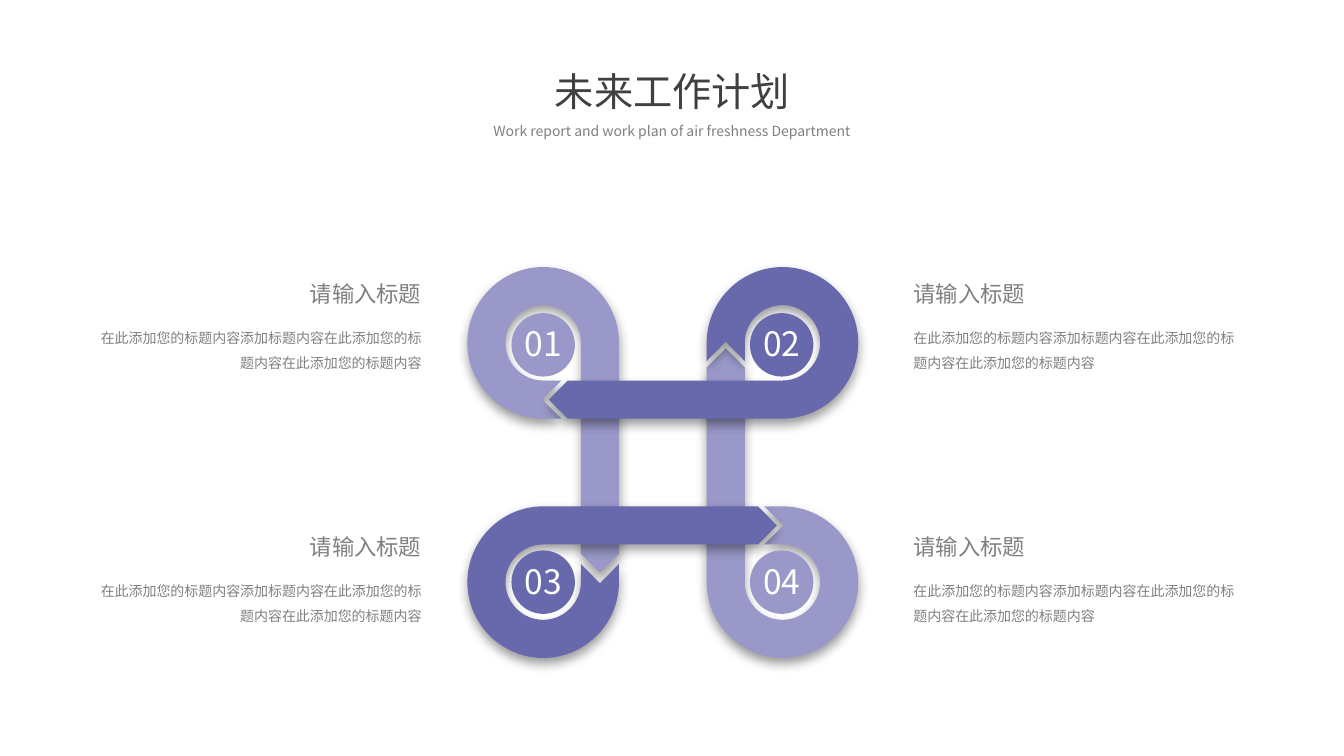
import pptx
import pptx.util
import pptx.oxml
from lxml import etree
from pptx.dml.color import RGBColor
from pptx.enum.shapes import MSO_SHAPE
from pptx.enum.text import MSO_AUTO_SIZE, PP_ALIGN
from pptx.oxml.ns import qn
from pptx.util import Cm, Pt

FONT = "Noto Sans CJK SC"
LIGHT = RGBColor(0x99, 0x98, 0xC8)
DARK = RGBColor(0x68, 0x68, 0xAC)
WHITE = RGBColor(0xFF, 0xFF, 0xFF)
GREY = RGBColor(0x80, 0x80, 0x80)
INK = RGBColor(0x40, 0x40, 0x40)

TITLE = "未来工作计划"
SUB = "Work report and work plan of air freshness Department"
HEAD = "请输入标题"
BODY = "在此添加您的标题内容添加标题内容在此添加您的标题内容在此添加您的标题内容"

# Lengths in cm. Number: column, row, colour, quarter turns, arrow reach
LOOPS = {
    "04": (1, 1, LIGHT, 1, 5.89),
    "01": (0, 0, LIGHT, 3, 5.79),
    "02": (1, 0, DARK, 0, 5.89),
    "03": (0, 1, DARK, 2, 5.89),
}
LEFT, TOP, STEP = 13.69, 8.64, 6.03
OUTER, INNER, MID = 1.91, 0.95, 1.43
NOTCH, POINT = 0.46, 0.48
BEND = 0.55  # control arm of a quarter circle, as a share of its radius
DISC = 1.6
DISC_X, DISC_Y = (13.69, 19.7), (8.69, 14.67)
# Alignment, left edge and width of heading, left edge and width of body
SIDES = [
    (PP_ALIGN.RIGHT, 5.69, 5.18, 1.95, 8.92),
    (PP_ALIGN.LEFT, 22.77, 5.92, 22.77, 8.69),
]
HEAD_Y, BODY_Y, ROW = 6.93, 7.96, 6.38

SHADOW = (
    '<a:effectLst xmlns:a="http://schemas.openxmlformats.org/drawingml/2006/main">'
    '<a:outerShdw blurRad="101600" dist="50800" dir="5400000" algn="t" rotWithShape="0">'
    '<a:srgbClr val="000000"><a:alpha val="40000"/></a:srgbClr>'
    '</a:outerShdw></a:effectLst>'
)


def arc(points):
    """Quarter circles about the origin, each a step of two controls and an end."""
    return [
        [(x + BEND * u, y + BEND * v), (u + BEND * x, v + BEND * y), (u, v)]
        for (x, y), (u, v) in zip(points, points[1:])
    ]


def outline(reach):
    """Steps of a loop from its left side, with the arrow pointing left below."""
    neck = POINT - reach
    big = [(-OUTER, 0), (0, -OUTER), (OUTER, 0), (0, OUTER)]
    small = [(0, INNER), (INNER, 0), (0, -INNER), (-INNER, 0)]
    tip = [(neck, OUTER), (-reach, MID), (neck, INNER), small[0]]
    notch = [(-INNER, NOTCH), (-MID, -0.03), (-OUTER, NOTCH)]
    return (
        [[big[0]]] + arc(big) + [[dot] for dot in tip]
        + arc(small) + [[dot] for dot in notch]
    )


def rotate(x, y, turns):
    for _ in range(turns):
        x, y = -y, x
    return x, y


def paint(shape, color):
    shape.shadow.inherit = False
    shape.fill.solid()
    shape.fill.fore_color.rgb = color
    shape.line.fill.background()


def add_loop(shapes, col, row, color, turns, reach):
    def place(dot):
        x, y = rotate(*dot, turns)
        return Cm(LEFT + col * STEP + x), Cm(TOP + row * STEP + y)

    steps = [[place(dot) for dot in step] for step in outline(reach)]
    pen = shapes.build_freeform(*steps[0][0])
    pen.add_line_segments([step[-1] for step in steps[1:]], close=True)
    loop = pen.convert_to_shape()
    paint(loop, color)
    props = loop._element.spPr
    props.replace(props.find(qn("a:effectLst")), pptx.oxml.parse_xml(SHADOW))

    lines = list(props.iter(qn("a:lnTo")))
    for line, step in zip(lines, steps[1:]):
        if len(step) == 3:
            line.tag = qn("a:cubicBezTo")
            for spot, (x, y) in enumerate(step[:2]):
                dot = etree.Element(qn("a:pt"), x=str(x - loop.left), y=str(y - loop.top))
                line.insert(spot, dot)


def add_text(shapes, text, box, size, color, align, lines=None):
    frame = shapes.add_textbox(*map(Cm, box)).text_frame
    frame.word_wrap = True
    frame.auto_size = MSO_AUTO_SIZE.SHAPE_TO_FIT_TEXT
    frame.text = text
    para = frame.paragraphs[0]
    para.alignment = align
    if lines:
        para.line_spacing = lines
    font = para.runs[0].font
    font.size = Pt(size)
    font.name = FONT
    font.color.rgb = color
    east = etree.Element(qn("a:ea"), typeface=FONT)
    font._element.find(qn("a:latin")).addnext(east)


def main():
    deck = pptx.Presentation()
    deck.slide_width, deck.slide_height = Cm(33.87), Cm(19.05)
    shapes = deck.slides.add_slide(deck.slide_layouts[6]).shapes

    for loop in LOOPS.values():
        add_loop(shapes, *loop)
    for number in sorted(LOOPS):
        col, row, color, *_ = LOOPS[number]
        x, y = DISC_X[col], DISC_Y[row]
        corner = Cm(x - DISC / 2), Cm(y - DISC / 2)
        disc = shapes.add_shape(MSO_SHAPE.OVAL, *corner, Cm(DISC), Cm(DISC))
        paint(disc, color)
        box = x - 0.94, y - 0.67, 1.88, 1.27
        add_text(shapes, number, box, 24, WHITE, PP_ALIGN.CENTER)

    for align, head_x, head_w, body_x, body_w in SIDES:
        for row in range(2):
            drop = row * ROW
            box = head_x, HEAD_Y + drop, head_w, 0.94
            add_text(shapes, HEAD, box, 16, GREY, align)
            box = body_x, BODY_Y + drop, body_w, 1.47
            add_text(shapes, BODY, box, 10, GREY, align, 1.5)

    add_text(shapes, TITLE, (8.51, 1.57, 16.87, 1.45), 28, INK, PP_ALIGN.CENTER)
    add_text(shapes, SUB, (9.02, 3, 15.82, 0.64), 10, GREY, PP_ALIGN.CENTER, 0.9)
    deck.save("out.pptx")


if __name__ == "__main__":
    main()
